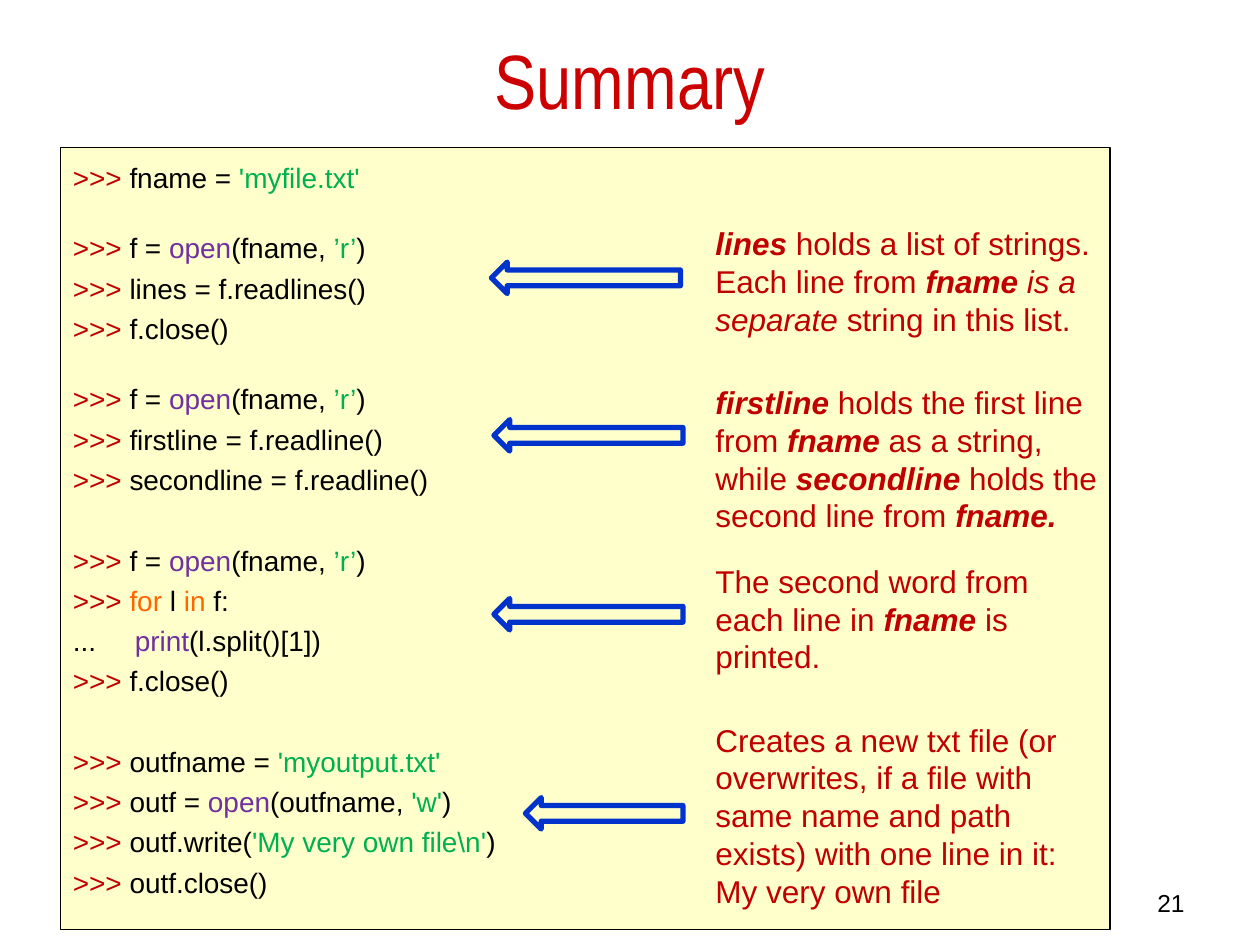
from pptx import Presentation
from pptx.dml.color import RGBColor
from pptx.enum.shapes import MSO_SHAPE as Shape
from pptx.enum.text import MSO_ANCHOR as Anchor, MSO_AUTO_SIZE as AutoSize, PP_ALIGN as Align
from pptx.util import Inches, Pt

RED, BLACK, GREEN, PURPLE, ORANGE = "C00000", "000000", "00B050", "7030A0", "FF6600"


def color(hex_code):
    return RGBColor.from_string(hex_code)


def add_runs(paragraph, runs, size, name="Arial"):
    for text, hex_code, bold, italic in runs:
        run = paragraph.add_run()
        run.text = text
        formats = {"size": Pt(size), "name": name, "bold": bold, "italic": italic}
        for attribute, value in formats.items():
            setattr(run.font, attribute, value)
        run.font.color.rgb = color(hex_code)


prs = Presentation()
prs.slide_width, prs.slide_height = Inches(10), Inches(7.5)
slide = prs.slides.add_slide(prs.slide_layouts[6])

title = slide.shapes.add_textbox(Inches(0.5), Inches(0), Inches(9), Inches(1.25))
title.text_frame.word_wrap = True
title.text_frame.vertical_anchor = Anchor.MIDDLE
heading = title.text_frame.paragraphs[0]
heading.alignment = Align.CENTER
add_runs(heading, [("Summary", "CC0000", False, False)], 44, "Arial Narrow")

session = slide.shapes.add_shape(
    Shape.RECTANGLE, Inches(0.48), Inches(1.17), Inches(8.33), Inches(6.21))
session.shadow.inherit = False
session.fill.solid()
session.fill.fore_color.rgb = color("FFFFCC")
session.line.color.rgb = color(BLACK)
session.line.width = Pt(0.75)
session.text_frame.word_wrap = True
session.text_frame.vertical_anchor = Anchor.TOP
session.text_frame.auto_size = AutoSize.SHAPE_TO_FIT_TEXT

prompt = (">>> ", RED)
open_for_reading = [prompt, ("f = ", BLACK), ("open", PURPLE), ("(fname, ", BLACK),
                    ("’r’", GREEN), (")", BLACK)]
close_file = [prompt, ("f.close()", BLACK)]
code_blocks = [
    (0, [[prompt, ("fname = ", BLACK), ("'myfile.txt'", GREEN)]]),
    (17.3, [open_for_reading,
            [prompt, ("lines = f.readlines()", BLACK)],
            close_file]),
    (17.3, [open_for_reading,
            [prompt, ("firstline = f.readline()", BLACK)],
            [prompt, ("secondline = f.readline()", BLACK)]]),
    (23, [open_for_reading,
          [prompt, ("for", ORANGE), (" l ", BLACK), ("in", ORANGE), (" f:", BLACK)],
          [("...     ", BLACK), ("print", PURPLE), ("(l.split()[1])", BLACK)],
          close_file]),
    (23, [[prompt, ("outfname = ", BLACK), ("'myoutput.txt'", GREEN)],
          [prompt, ("outf = ", BLACK), ("open", PURPLE), ("(outfname, ", BLACK),
           ("'w'", GREEN), (")", BLACK)],
          [prompt, ("outf.write(", BLACK), (r"'My very own file\n'", GREEN), (")", BLACK)],
          [prompt, ("outf.close()", BLACK)]]),
]
code_line = session.text_frame.paragraphs[0]
for gap, lines in code_blocks:
    for index, tokens in enumerate(lines):
        if gap:
            code_line = session.text_frame.add_paragraph()
        code_line.alignment = Align.LEFT
        code_line.line_spacing = 1.2
        code_line.space_before = Pt(gap if index == 0 else 0)
        add_runs(code_line, [(text, hue, False, False) for text, hue in tokens], 16)

page = slide.shapes.add_textbox(Inches(7.17), Inches(7), Inches(2.33), Inches(0.25))
page.text_frame.word_wrap = True
page_number = page.text_frame.paragraphs[0]
page_number.alignment = Align.RIGHT
add_runs(page_number, [("21", BLACK, False, False)], 14)

plain, italic, strong = (False, False), (False, True), (True, True)
notes = [
    (3.9, 2.08, 1.5, 1.73, 1.01, [
        [("lines ", strong), ("holds a list of strings.", plain)],
        [("Each line from ", plain), ("fname", strong), (" is a separate ", italic),
         ("string in this list.", plain)]]),
    (3.92, 3.33, 1.5, 2.99, 1.31, [
        [("firstline ", strong), ("holds the first line from ", plain), ("fname ", strong),
         ("as a string, while ", plain), ("secondline ", strong),
         ("holds the second line from ", plain), ("fname.", strong)]]),
    (3.92, 4.75, 1.5, 4.41, 1.01, [
        [("The second word from each line in ", plain), ("fname", strong),
         (" is printed.", plain)]]),
    (4.17, 6.33, 1.25, 5.67, 1.62, [
        [("Creates a new txt file (or overwrites, if a file with same name and path "
          "exists) with one line in it:", plain)],
        [("My very own file", plain)]]),
]
for arrow_left, arrow_top, arrow_width, note_top, note_height, sentences in notes:
    arrow = slide.shapes.add_shape(
        Shape.RIGHT_ARROW, Inches(arrow_left), Inches(arrow_top),
        Inches(arrow_width), Inches(0.25))
    arrow.rotation = 180
    arrow.shadow.inherit = False
    arrow.fill.background()
    arrow.line.color.rgb = color("0033CC")
    arrow.line.width = Pt(3)

    note = slide.shapes.add_textbox(
        Inches(5.58), Inches(note_top), Inches(3.23), Inches(note_height))
    note.text_frame.word_wrap = True
    note.text_frame.auto_size = AutoSize.SHAPE_TO_FIT_TEXT
    for index, parts in enumerate(sentences):
        sentence = note.text_frame.add_paragraph() if index else note.text_frame.paragraphs[0]
        add_runs(sentence, [(text, RED, *style) for text, style in parts], 18)

prs.save("out.pptx")
